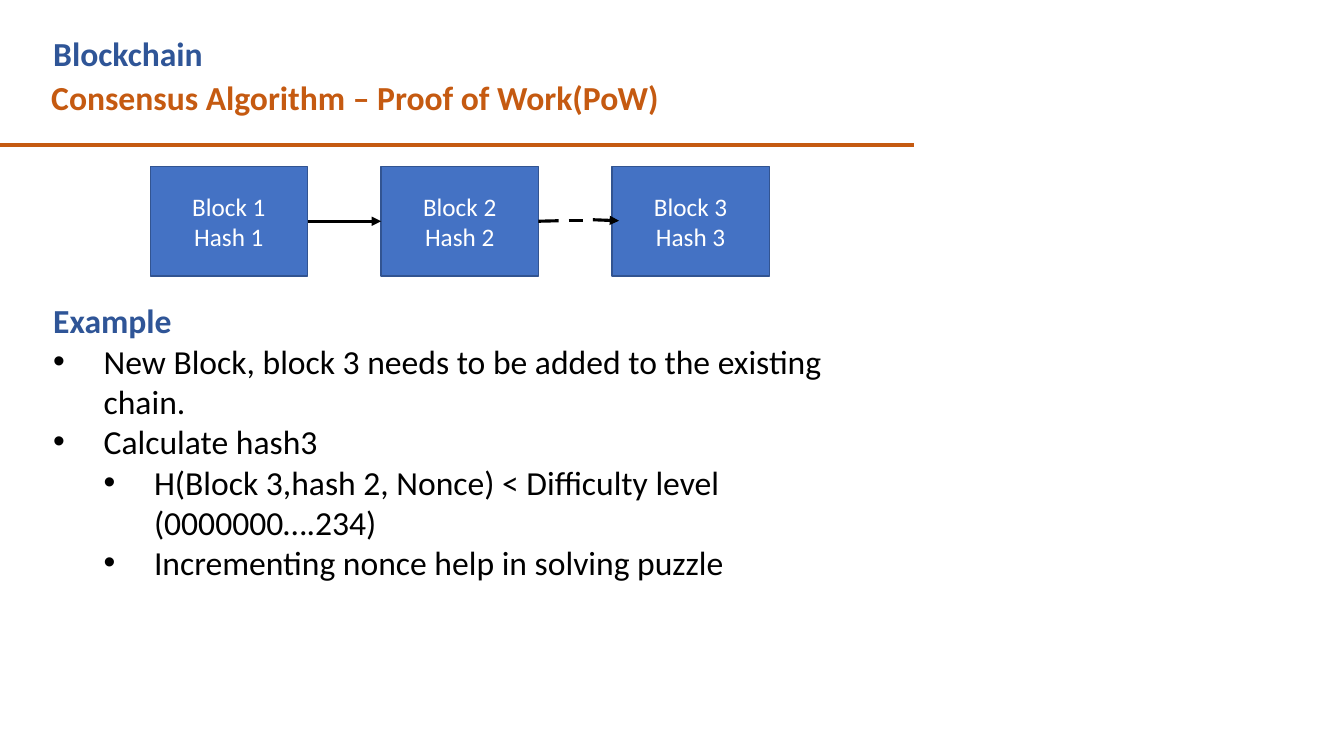
"""Build the slide on proof of work, with a chain of three blocks."""
from pptx import Presentation
from pptx.dml.color import RGBColor
from pptx.enum.shapes import MSO_CONNECTOR, MSO_SHAPE
from pptx.enum.text import MSO_ANCHOR, PP_ALIGN
from pptx.oxml.ns import qn
from pptx.util import Inches, Pt
from lxml.etree import SubElement

BLUE = RGBColor(0x2F, 0x55, 0x97)
ORANGE = RGBColor(0xC5, 0x5A, 0x11)
BLOCK_FILL = RGBColor(0x44, 0x72, 0xC4)
BLOCK_LINE = RGBColor(0x32, 0x54, 0x91)
BLACK = RGBColor(0, 0, 0)
WHITE = RGBColor(0xFF, 0xFF, 0xFF)


def add_text(tf, text, size=24, color=BLACK, bold=False, align=PP_ALIGN.LEFT, bullet_level=None):
    tf.word_wrap = True
    p = tf.paragraphs[0]
    if p.runs:
        p = tf.add_paragraph()
    p.alignment = align
    if bullet_level is not None:
        p.level = bullet_level
        pPr = p._p.get_or_add_pPr()
        pPr.set("marL", str(Inches(0.5 * (bullet_level + 1))))
        pPr.set("indent", str(Inches(-0.5)))
        SubElement(pPr, qn("a:buFont"), typeface="Arial")
        SubElement(pPr, qn("a:buChar"), char="•")
    r = p.add_run()
    r.text = text
    r.font.name = "Calibri"
    r.font.size = Pt(size)
    r.font.bold = bold
    r.font.color.rgb = color


def add_line(x1, y1, x2, y2, color=BLACK, width=2.25, arrow=False):
    line = slide.shapes.add_connector(
        MSO_CONNECTOR.STRAIGHT, Inches(x1), Inches(y1), Inches(x2), Inches(y2))
    line.line.color.rgb = color
    line.line.width = Pt(width)
    if arrow:
        SubElement(line.line._get_or_add_ln(), qn("a:tailEnd"), type="triangle")
    SubElement(line._element.spPr, qn("a:effectLst"))
    return line


prs = Presentation()
prs.slide_width, prs.slide_height = Inches(13.33), Inches(7.5)
slide = prs.slides.add_slide(prs.slide_layouts[6])

headings = [
    ("Consensus Algorithm – Proof of Work(PoW)", 0.41, 0.71, 8.75, ORANGE),
    ("Blockchain", 0.43, 0.28, 8.2, BLUE),
]
for text, left, top, width, color in headings:
    tb = slide.shapes.add_textbox(Inches(left), Inches(top), Inches(width), Inches(0.5))
    add_text(tb.text_frame, text, color=color, bold=True)
add_line(-0.01, 1.44, 9.07, 1.44, color=ORANGE, width=3)

blocks = []
for i in range(3):
    sp = slide.shapes.add_shape(
        MSO_SHAPE.RECTANGLE, Inches(1.49 + 2.29 * i), Inches(1.65), Inches(1.56), Inches(1.09))
    sp.shadow.inherit = False
    sp.fill.solid()
    sp.fill.fore_color.rgb = BLOCK_FILL
    sp.line.color.rgb = BLOCK_LINE
    sp.line.width = Pt(1)
    sp.text_frame.vertical_anchor = MSO_ANCHOR.MIDDLE
    for label in ("Block", "Hash"):
        add_text(sp.text_frame, f"{label} {i + 1}", size=18, color=WHITE, align=PP_ALIGN.CENTER)
    blocks.append(sp)

link = add_line(3.05, 2.19, 3.78, 2.19, arrow=True)
link.begin_connect(blocks[0], 3)
link.end_connect(blocks[1], 1)
first_dash = add_line(5.34, 2.19, 5.54, 2.19)
first_dash.begin_connect(blocks[1], 3)
add_line(5.64, 2.19, 5.78, 2.19)
add_line(5.88, 2.18, 6.14, 2.19, arrow=True)

tb = slide.shapes.add_textbox(Inches(0.43), Inches(2.93), Inches(8.04), Inches(2.93))
add_text(tb.text_frame, "Example", color=BLUE, bold=True)
steps = [
    ("New Block, block 3 needs to be added to the existing chain.", 0),
    ("Calculate hash3", 0),
    ("H(Block 3,hash 2, Nonce) < Difficulty level (0000000….234)", 1),
    ("Incrementing nonce help in solving puzzle", 1),
]
for text, level in steps:
    add_text(tb.text_frame, text, bullet_level=level)

prs.save("out.pptx")
